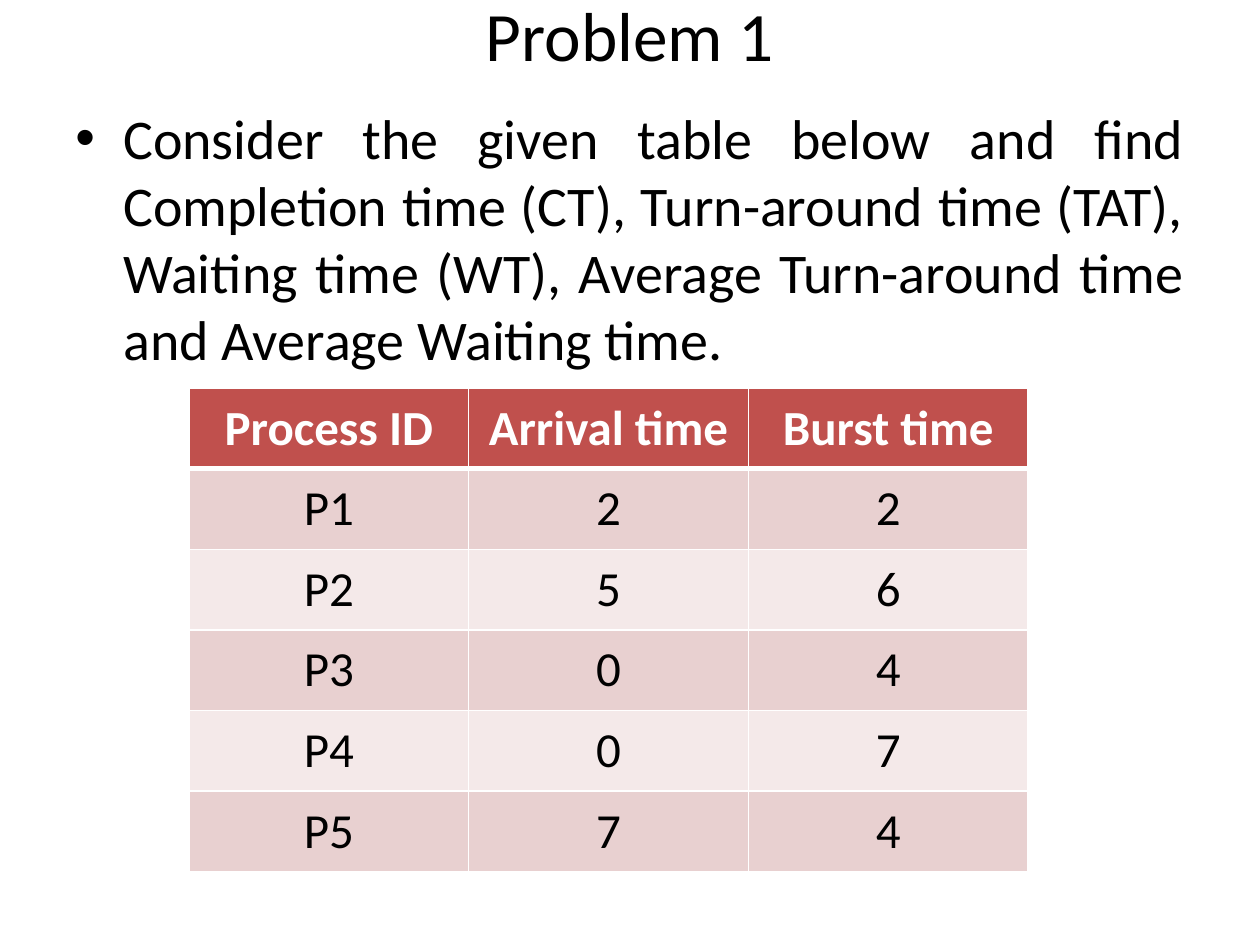
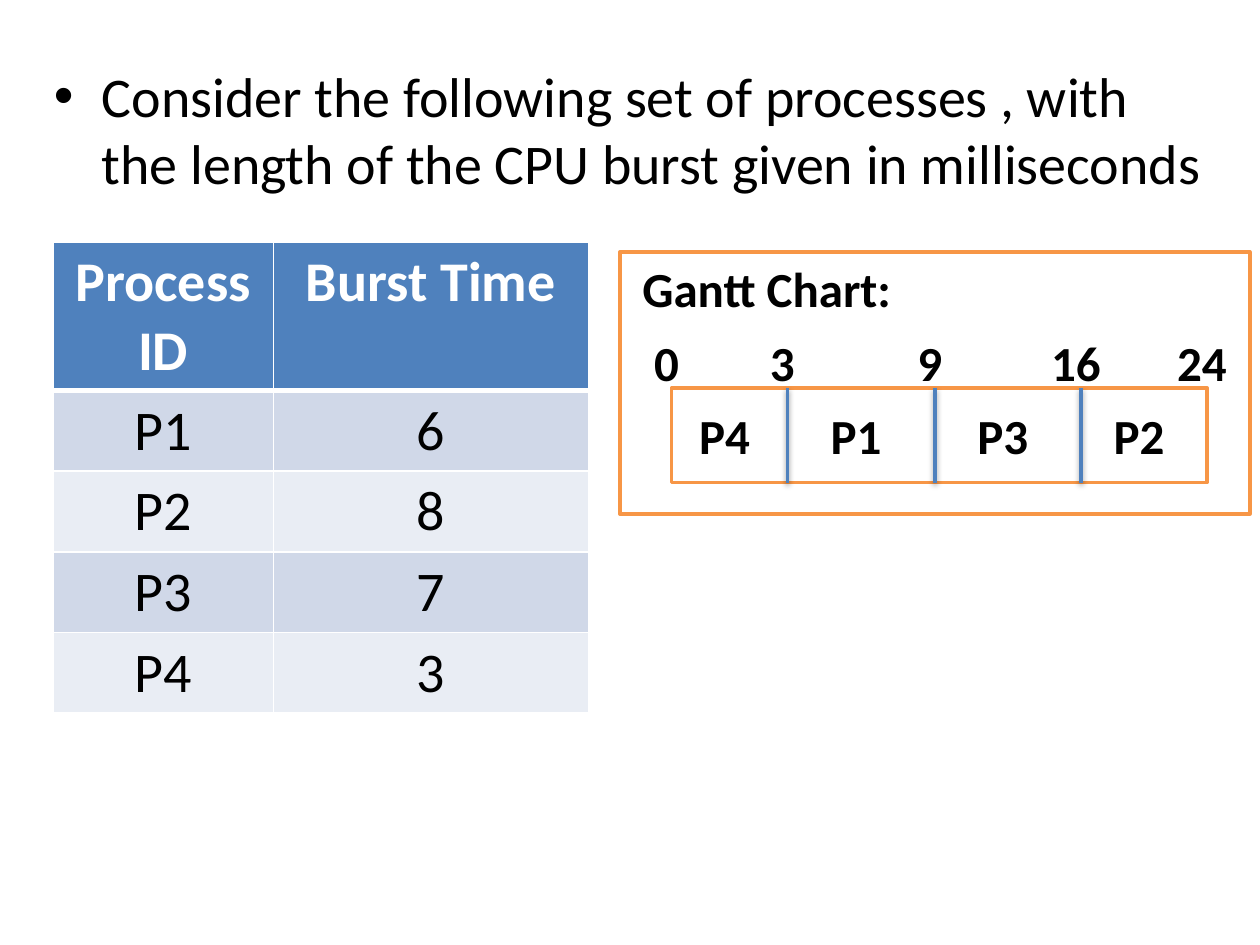
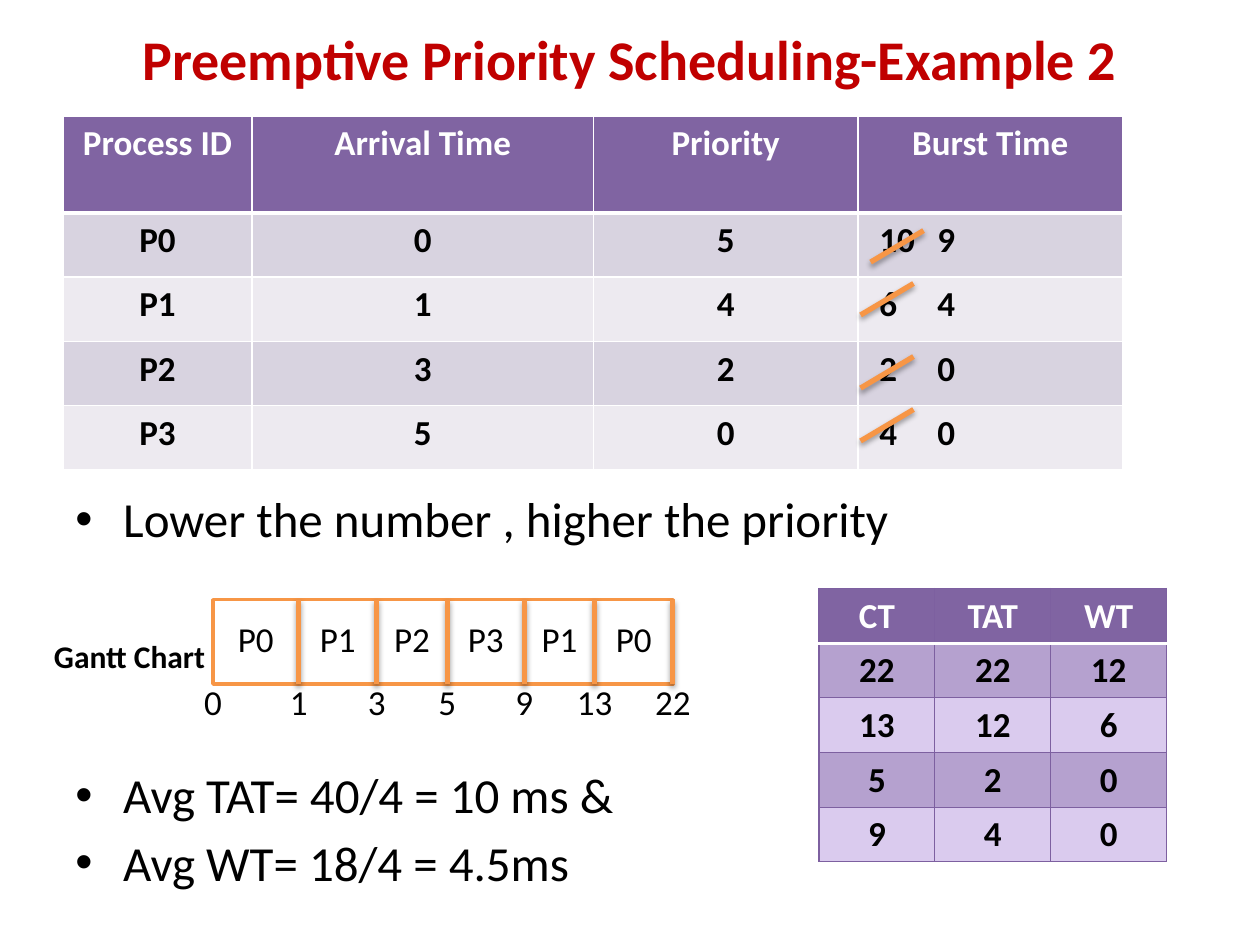
import pptx
import pptx.dml.color
import pptx.enum.shapes
import pptx.enum.text
import pptx.oxml
import pptx.oxml.ns
import pptx.util
from lxml import etree
from pptx.util import Inches

COLORS = {
    "black": "000000", "white": "FFFFFF", "title_red": "C00000",
    "orange": "F79646", "blue": "4F81BD", "purple_edge": "7D60A0",
}
TABLE_FILLS = {
    "red": ("C0504D", "E8D0D0", "F4E9E9"),
    "blue": ("4F81BD", "D0D8E8", "E9EDF4"),
    "purple": ("8064A2", "D8D3E0", "EDEAF0"),
    "violet": ("8064A2", "B5A1CF", "DACBEE"),
}
FONT = "Calibri"
ALIGN = pptx.enum.text.PP_ALIGN
ANCHOR = pptx.enum.text.MSO_ANCHOR
TITLE_ONLY, BLANK = 5, 6


def rgb(name):
    """Return the colour with this name, or with this hex value."""
    return pptx.dml.color.RGBColor.from_string(COLORS.get(name, name))


def add_child(parent, tag, **attributes):
    """Append a DrawingML element."""
    element = etree.SubElement(parent, pptx.oxml.ns.qn(tag))
    for key, value in attributes.items():
        element.set(key, str(value))
    return element


def write(paragraph, text, size, color="black", bold=False, align=ALIGN.LEFT):
    """Add one formatted run to a paragraph."""
    paragraph.alignment = align
    run = paragraph.add_run()
    run.text = text
    run.font.name = FONT
    run.font.size = pptx.util.Pt(size)
    run.font.bold = bold
    run.font.color.rgb = rgb(color)


def set_title(slide, text, top, height, size, color="black", bold=False):
    """Place and format the title placeholder."""
    title = slide.shapes.title
    title.left, title.top = Inches(0.5), Inches(top)
    title.width, title.height = Inches(9), Inches(height)
    frame = title.text_frame
    frame.auto_size = pptx.enum.text.MSO_AUTO_SIZE.NONE
    frame.vertical_anchor = ANCHOR.MIDDLE
    write(frame.paragraphs[0], text, size, color, bold, ALIGN.CENTER)


def add_text_frame(slide, left, top, width, height):
    """Add a wrapping text box and return its frame."""
    box = slide.shapes.add_textbox(Inches(left), Inches(top), Inches(width), Inches(height))
    box.text_frame.word_wrap = True
    return box.text_frame


def add_bullets(slide, texts, left, top, width, height, size, align=ALIGN.LEFT):
    """Add a bulleted list."""
    frame = add_text_frame(slide, left, top, width, height)
    for index, text in enumerate(texts):
        paragraph = frame.paragraphs[0] if index == 0 else frame.add_paragraph()
        properties = paragraph._p.get_or_add_pPr()
        properties.set("marL", str(Inches(0.38)))
        properties.set("indent", str(-Inches(0.38)))
        add_child(properties, "a:buFont", typeface="Arial")
        add_child(properties, "a:buChar", char="•")
        if index:
            paragraph.space_before = pptx.util.Pt(5)
        write(paragraph, text, size, align=align)


def add_label(slide, text, left, top, width, size, bold=False, align=ALIGN.LEFT):
    """Add a one-line label."""
    frame = add_text_frame(slide, left, top, width, size / 50)
    write(frame.paragraphs[0], text, size, bold=bold, align=align)


def add_box(slide, left, top, width, height):
    """Add a white rectangle with an orange outline."""
    box = slide.shapes.add_shape(
        pptx.enum.shapes.MSO_SHAPE.RECTANGLE,
        Inches(left), Inches(top), Inches(width), Inches(height))
    box.shadow.inherit = False
    box.fill.solid()
    box.fill.fore_color.rgb = rgb("white")
    box.line.color.rgb = rgb("orange")
    box.line.width = pptx.util.Pt(2)


def add_line(slide, start, end, color, width):
    """Add a straight line with a soft shadow below it."""
    line = slide.shapes.add_connector(
        pptx.enum.shapes.MSO_CONNECTOR.STRAIGHT, *map(Inches, start + end))
    line.line.color.rgb = rgb(color)
    line.line.width = pptx.util.Pt(width)
    effects = add_child(line._element.spPr, "a:effectLst")
    shadow = add_child(effects, "a:outerShdw", blurRad=pptx.util.Pt(3.1),
                       dist=pptx.util.Pt(1.7), dir=5400000, rotWithShape=0)
    shadow_color = add_child(shadow, "a:srgbClr", val=COLORS["black"])
    add_child(shadow_color, "a:alpha", val=36000)


def set_borders(cell, borders):
    """Set cell borders from (side, colour, points) entries."""
    properties = cell._tc.get_or_add_tcPr()
    for side, color, points in borders:
        line = add_child(properties, f"a:ln{side}", w=pptx.util.Pt(points))
        fill = add_child(line, "a:solidFill")
        add_child(fill, "a:srgbClr", val=COLORS[color])


def add_table(slide, rows, left, top, column_widths, row_heights, size, fills,
              border=("white", 1), rule=3, bold_body=False, anchor=ANCHOR.TOP):
    """Add a banded table; row_heights holds the header and body heights."""
    header_height, body_height = row_heights
    height = header_height + body_height * (len(rows) - 1)
    table = slide.shapes.add_table(
        len(rows), len(column_widths), Inches(left), Inches(top),
        Inches(sum(column_widths)), Inches(height)).table
    for column, width in zip(table.columns, column_widths):
        column.width = Inches(width)
    for row_index, texts in enumerate(rows):
        is_header = row_index == 0
        table.rows[row_index].height = Inches(header_height if is_header else body_height)
        fill = fills[0] if is_header else fills[1 + (row_index - 1) % 2]
        top_border = ("white", rule) if row_index == 1 else border
        bottom_border = ("white", rule) if is_header else border
        for column_index, text in enumerate(texts):
            cell = table.cell(row_index, column_index)
            set_borders(cell, [("L", *border), ("R", *border),
                               ("T", *top_border), ("B", *bottom_border)])
            cell.fill.solid()
            cell.fill.fore_color.rgb = rgb(fill)
            cell.vertical_anchor = anchor
            paragraph = cell.text_frame.paragraphs[0]
            align = ALIGN.CENTER
            if "\t" in text:
                align = ALIGN.LEFT
                cell.margin_left = Inches(0.17)
                tabs = add_child(paragraph._p.get_or_add_pPr(), "a:tabLst")
                add_child(tabs, "a:tab", pos=Inches(0.46), algn="l")
            write(paragraph, text, size, "white" if is_header else "black",
                  is_header or bold_body, align)


def add_gantt(slide, processes, times, edges, bar, name_top, time_top, label_width,
              size, dividers, color, line_width, bold=False, label_shift=0):
    """Add a Gantt bar with dividers, process names and times."""
    top, height = bar
    add_box(slide, edges[0], top, edges[-1] - edges[0], height)
    for x in dividers:
        add_line(slide, (x, top), (x, top + height), color, line_width)
    middles = [(start + end) / 2 for start, end in zip(edges, edges[1:])]
    for texts, centers, label_top in ((processes, middles, name_top),
                                      (times, edges, time_top)):
        for text, center in zip(texts, centers):
            add_label(slide, text, center + label_shift - label_width / 2, label_top,
                      label_width, size, bold, ALIGN.CENTER)


def build_problem(slide):
    """Build the problem statement slide."""
    set_title(slide, "Problem 1", 0, 0.53, 39.6)
    add_bullets(slide, [
        "Consider the given table below and find Completion time (CT), "
        "Turn-around time (TAT), Waiting time (WT), Average Turn-around time "
        "and Average Waiting time."], 0.5, 0.77, 9, 2.25, 32, ALIGN.JUSTIFY)
    rows = [("Process ID", "Arrival time", "Burst time"),
            ("P1", "2", "2"), ("P2", "5", "6"), ("P3", "0", "4"),
            ("P4", "0", "7"), ("P5", "7", "4")]
    add_table(slide, rows, 1.5, 3.08, [2.22] * 3, (0.64, 0.64), 28,
              TABLE_FILLS["red"], anchor=ANCHOR.MIDDLE)


def build_shortest_job(slide):
    """Build the burst time slide with its Gantt chart."""
    add_bullets(slide, [
        "Consider the following set of processes , with the length of the CPU "
        "burst given in milliseconds"], 0.33, 0.44, 9.33, 1.2, 32)
    rows = [("Process ID", "Burst Time"),
            ("P1", "6"), ("P2", "8"), ("P3", "7"), ("P4", "3")]
    add_table(slide, rows, 0.42, 1.92, [1.75, 2.5], (1.18, 0.64), 32, TABLE_FILLS["blue"])
    add_box(slide, 4.92, 2, 5, 2.08)
    add_label(slide, "Gantt Chart:", 5, 2, 3.58, 28, bold=True)
    edges = [5.33, 6.25, 7.42, 8.58, 9.58]
    add_gantt(slide, ["P4", "P1", "P3", "P2"], ["0", "3", "9", "16", "24"], edges,
              (3.08, 0.75), 3.17, 2.59, 0.7, 28, edges[1:-1], "blue", 2,
              bold=True, label_shift=-0.04)


def build_priority(slide):
    """Build the preemptive priority slide."""
    set_title(slide, "Preemptive Priority Scheduling-Example 2", 0.08, 0.77, 32,
              "title_red", bold=True)
    rows = [("Process ID", "Arrival Time", "Priority", "Burst Time"),
            ("P0", "0", "5", "10\t9"), ("P1", "1", "4", "6\t4"),
            ("P2", "3", "2", "2\t0"), ("P3", "5", "0", "4\t0")]
    add_table(slide, rows, 0.5, 0.92, [1.5, 2.71, 2.1, 2.1], (0.77, 0.51), 20,
              TABLE_FILLS["purple"], bold_body=True)
    for right, top in ((7.33, 1.83), (7.25, 2.25), (7.25, 2.83), (7.25, 3.25)):
        add_line(slide, (right, top), (right - 0.42, top + 0.25), "orange", 3)
    add_bullets(slide, ["Lower the number , higher the priority"],
                0.5, 3.83, 9.17, 0.6, 28)
    add_label(slide, "Gantt Chart", 0.33, 5.01, 1.42, 18, bold=True)
    edges = [1.69, 2.37, 2.99, 3.55, 4.16, 4.72, 5.34]
    add_gantt(slide, ["P0", "P1", "P2", "P3", "P1", "P0"],
              ["0", "1", "3", "5", "9", "13", "22"], edges, (4.76, 0.67),
              4.85, 5.35, 0.49, 20, edges[1:], "orange", 3)
    add_bullets(slide, ["Avg TAT= 40/4 = 10 ms &", "Avg WT= 18/4 = 4.5ms"],
                0.5, 6.02, 5.8, 1.15, 28)
    results = [("CT", "TAT", "WT"), ("22", "22", "12"), ("13", "12", "6"),
               ("5", "2", "0"), ("9", "4", "0")]
    add_table(slide, results, 6.5, 4.67, [0.92] * 3, (0.43, 0.43), 20,
              TABLE_FILLS["violet"], ("purple_edge", 0.75), 2, bold_body=True)


def main():
    """Build and save the presentation."""
    presentation = pptx.Presentation()
    presentation.slide_width, presentation.slide_height = Inches(10), Inches(7.5)
    for build, layout in ((build_problem, TITLE_ONLY), (build_shortest_job, BLANK),
                          (build_priority, TITLE_ONLY)):
        build(presentation.slides.add_slide(presentation.slide_layouts[layout]))
    presentation.save("out.pptx")


if __name__ == "__main__":
    main()
